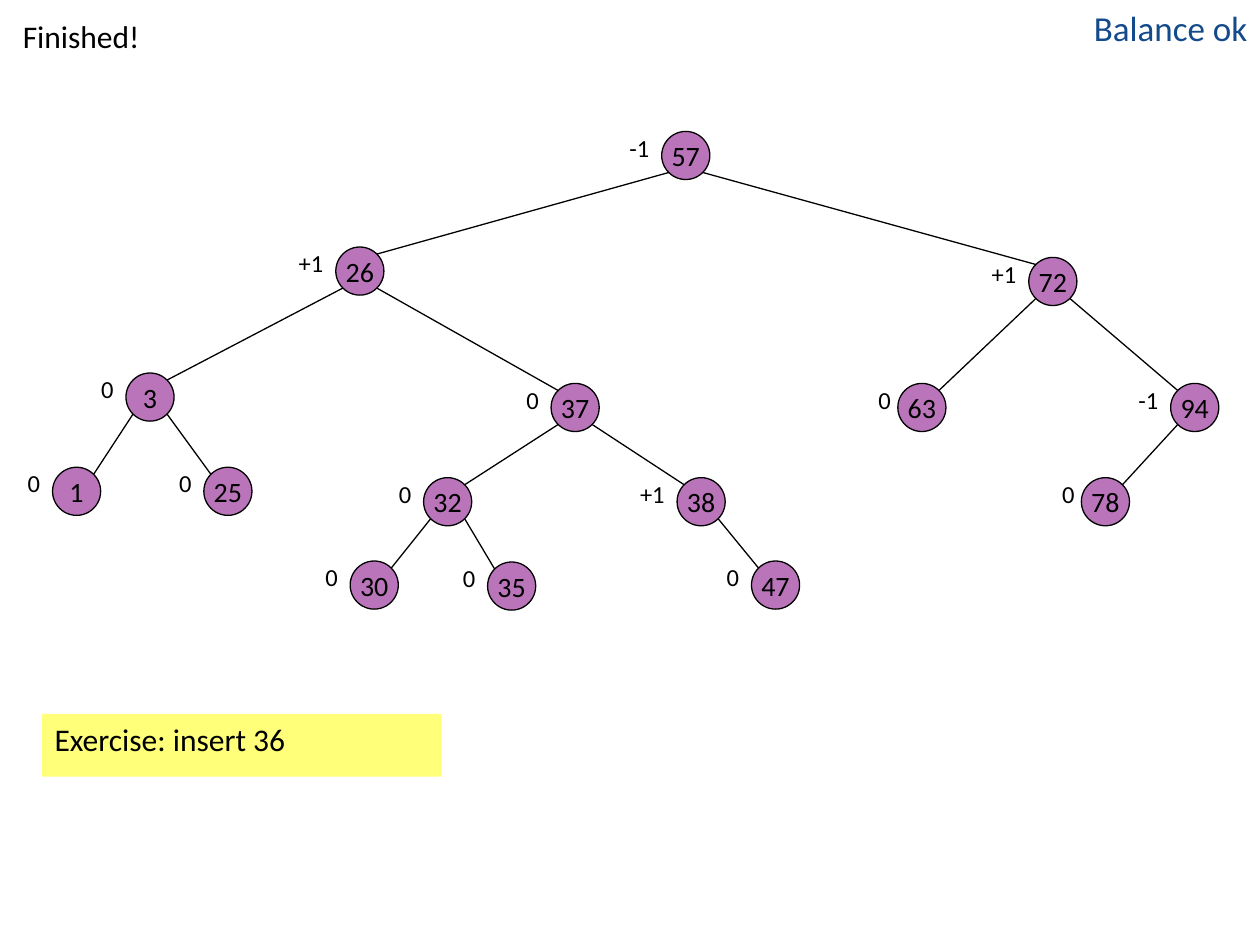
from dataclasses import dataclass
import math

import pptx
import pptx.dml.color
import pptx.enum.shapes
import pptx.enum.text
import pptx.oxml
import pptx.oxml.ns
import pptx.util

Cm = pptx.util.Cm
ALIGN = pptx.enum.text.PP_ALIGN
SHAPE = pptx.enum.shapes.MSO_SHAPE


@dataclass(frozen=True)
class Theme:
    """Colours, type sizes and line width of the slide."""
    font: str = "Calibri"
    ink: str = "000000"
    verdict: str = "134A8B"
    node: str = "800080"
    note: str = "FFFF00"
    node_opacity: int = 54
    note_opacity: int = 52
    verdict_size: int = 20
    body_size: int = 18
    key_size: int = 16
    balance_size: int = 14
    line_width: float = 0.75


@dataclass(frozen=True)
class Box:
    """A region in centimetres."""
    left: float
    top: float
    width: float
    height: float

    def inner(self, left, top, width, height):
        """Return a box placed relative to this one."""
        return Box(self.left + left, self.top + top, width, height)

    def lengths(self):
        """Return left, top, width and height as lengths."""
        return [Cm(value) for value in (self.left, self.top, self.width, self.height)]


@dataclass(frozen=True)
class Node:
    """A tree node: parent key, place in the tree box, balance and its label width."""
    parent: int
    left: float
    top: float
    balance: str
    label_width: float
    label_align: ALIGN = ALIGN.RIGHT


THEME = Theme()
DIAMETER = 0.97
LABEL_RISE = 0.1
LABEL_HEIGHT = 0.84
TREE = {
    57: Node(0, 13.34, 0, "-1", 2.97),
    26: Node(57, 6.77, 2.33, "+1", 2.34),
    72: Node(57, 20.74, 2.54, "+1", 1.7),
    3: Node(26, 2.54, 4.87, "0", 1.27),
    37: Node(26, 11.11, 5.08, "0", 1.6),
    63: Node(72, 18.1, 5.08, "0", 0.64, ALIGN.LEFT),
    94: Node(72, 23.6, 5.08, "-1", 1.48),
    1: Node(3, 1.06, 6.77, "0", 1.06),
    25: Node(3, 4.11, 6.77, "0", 1.06),
    32: Node(37, 8.54, 6.98, "0", 1.14),
    38: Node(37, 13.65, 6.98, "+1", 1.8),
    78: Node(94, 21.8, 6.98, "0", 0.64, ALIGN.LEFT),
    30: Node(32, 7.06, 8.66, "0", 1.14),
    35: Node(32, 9.83, 8.68, "0", 1.6),
    47: Node(38, 15.15, 8.66, "0", 1.6),
}


def rgb(value):
    """Return a colour from its hex value."""
    return pptx.dml.color.RGBColor.from_string(value)


def write(shape, text, size, color=THEME.ink, align=ALIGN.LEFT, **frame_format):
    """Write one formatted line of text into a shape."""
    frame = shape.text_frame
    settings = {"word_wrap": True, "vertical_anchor": pptx.enum.text.MSO_ANCHOR.TOP}
    for name, value in {**settings, **frame_format}.items():
        setattr(frame, name, value)
    para = frame.paragraphs[0]
    para.alignment = align
    span = para.add_run()
    span.text = text
    for name, value in {"name": THEME.font, "size": pptx.util.Pt(size)}.items():
        setattr(span.font, name, value)
    span.font.color.rgb = rgb(color)


def paint(shape, color, opacity):
    """Give a shape a translucent fill and no shadow."""
    shape.shadow.inherit = False
    shape.fill.solid()
    shape.fill.fore_color.rgb = rgb(color)
    tint = shape.fill._xPr.find(".//" + pptx.oxml.ns.qn("a:srgbClr"))
    alpha = pptx.oxml.parse_xml(
        f'<a:alpha {pptx.oxml.ns.nsdecls("a")} val="{opacity * 1000}"/>')
    tint.append(alpha)


def outline(line):
    """Draw a line in the thin ink style."""
    line.color.rgb = rgb(THEME.ink)
    line.width = pptx.util.Pt(THEME.line_width)


def add_edge(page, box, parent, child):
    """Join the lower diagonal of a parent to the upper diagonal of its child."""
    radius = DIAMETER / 2
    reach = radius * math.sqrt(0.5)
    side = math.copysign(reach, child.left - parent.left)
    ends = (
        box.left + parent.left + radius + side,
        box.top + parent.top + radius + reach,
        box.left + child.left + radius - side,
        box.top + child.top + radius - reach,
    )
    edge = page.shapes.add_connector(
        pptx.enum.shapes.MSO_CONNECTOR.STRAIGHT, *[Cm(value) for value in ends])
    outline(edge.line)
    edge._element.spPr.append(
        pptx.oxml.parse_xml(f'<a:effectLst {pptx.oxml.ns.nsdecls("a")}/>'))


def add_node(page, box, key, node):
    """Draw a key in a circle with its balance on the left."""
    group = page.shapes.add_group_shape()
    place = box.inner(node.left, node.top, DIAMETER, DIAMETER)
    circle = group.shapes.add_shape(SHAPE.OVAL, *place.lengths())
    paint(circle, THEME.node, THEME.node_opacity)
    outline(circle.line)
    write(circle, str(key), THEME.key_size, align=ALIGN.CENTER, word_wrap=False,
          vertical_anchor=pptx.enum.text.MSO_ANCHOR.MIDDLE)
    beside = place.inner(-node.label_width, -LABEL_RISE, node.label_width, LABEL_HEIGHT)
    label = group.shapes.add_textbox(*beside.lengths())
    write(label, node.balance, THEME.balance_size, align=node.label_align)


def add_tree(page, box):
    """Draw the balanced search tree in its box."""
    for node in TREE.values():
        if node.parent:
            add_edge(page, box, TREE[node.parent], node)
    for key, node in TREE.items():
        add_node(page, box, key, node)


def add_header(page, box):
    """Place the status on the left and the verdict on the right."""
    status = page.shapes.add_textbox(*box.inner(0.21, 0.21, box.width - 0.21, 1.27).lengths())
    write(status, "Finished!", THEME.body_size)
    width = 6.77
    verdict = page.shapes.add_textbox(*box.inner(box.width - width, 0, width, 1.1).lengths())
    write(verdict, "Balance ok", THEME.verdict_size, THEME.verdict, ALIGN.RIGHT)


def add_exercise(page, box):
    """Place the highlighted exercise."""
    note = page.shapes.add_shape(SHAPE.RECTANGLE, *box.lengths())
    paint(note, THEME.note, THEME.note_opacity)
    note.line.fill.background()
    write(note, "Exercise: insert 36", THEME.body_size)


def main():
    """Build and save the deck."""
    deck = pptx.Presentation()
    deck.slide_width, deck.slide_height = Cm(25.4), Cm(19.05)
    page = deck.slides.add_slide(deck.slide_layouts[6])
    add_header(page, Box(0, 0, 25.4, 1.48))
    add_tree(page, Box(0, 2.65, 25.4, 9.65))
    add_exercise(page, Box(0.85, 14.39, 8.05, 1.27))
    deck.save("out.pptx")


if __name__ == "__main__":
    main()
